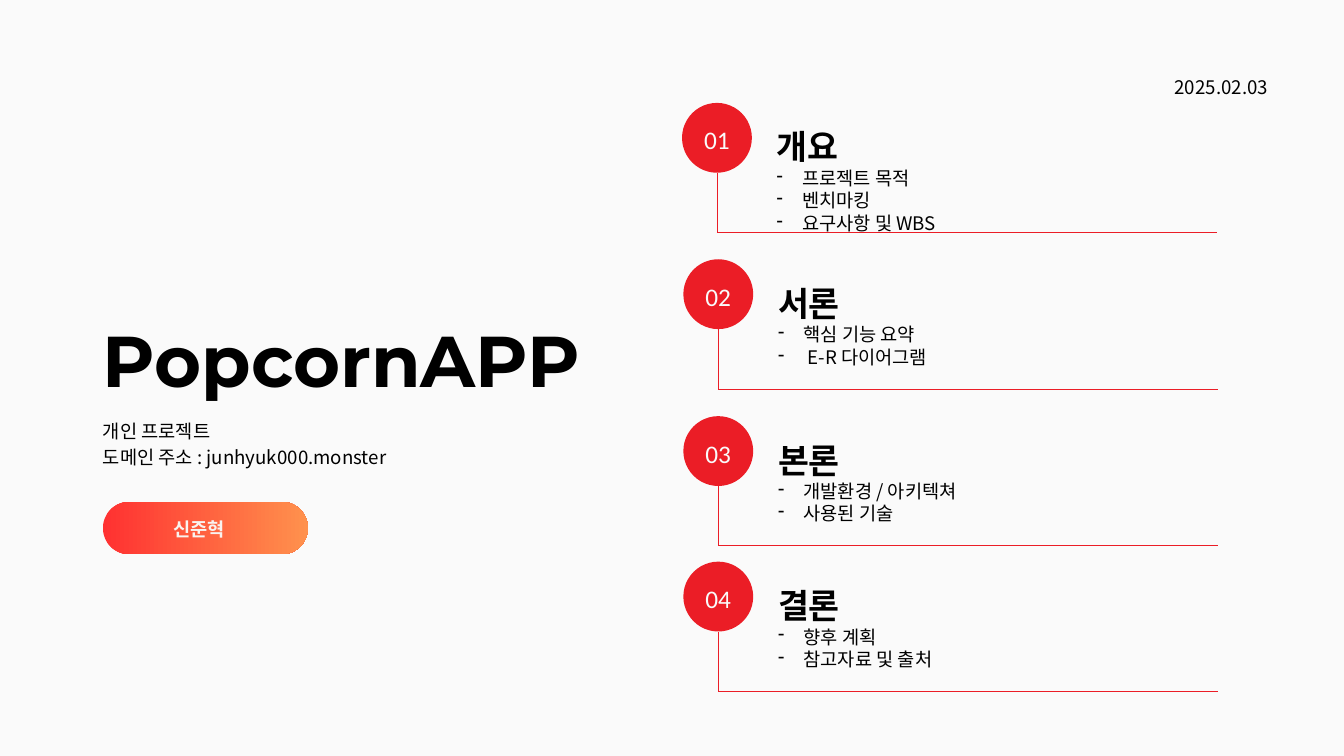
from lxml import etree
from pptx import Presentation
from pptx.dml.color import RGBColor
from pptx.enum.shapes import MSO_CONNECTOR, MSO_SHAPE
from pptx.enum.text import MSO_AUTO_SIZE, PP_ALIGN
from pptx.oxml.ns import qn
from pptx.util import Cm, Pt

LEFT, CENTER, RIGHT = PP_ALIGN.LEFT, PP_ALIGN.CENTER, PP_ALIGN.RIGHT
GROW = MSO_AUTO_SIZE.SHAPE_TO_FIT_TEXT
STRAIGHT = MSO_CONNECTOR.STRAIGHT
OVAL, PILL = MSO_SHAPE.OVAL, MSO_SHAPE.ROUNDED_RECTANGLE

RED, BLACK, PAPER = "EB1D26", "000000", "FAFAFA"
KR, SC = "Noto Sans CJK KR", "Noto Sans CJK SC"

HEADING = dict(name=KR, size=36, bold=True, color=BLACK, spacing=65.4)
ITEM = dict(name=KR, size=20, bold=False, color=BLACK, bullet="-")
NUMBER = dict(name="Calibri", size=27.1, color=PAPER, spacing=38, align=CENTER)
TITLE = dict(name="Montserrat", size=77, bold=True, color=BLACK, spacing=107.7)
BODY = dict(name=SC, size=20, color=BLACK, spacing=28)
DATE = dict(BODY, align=RIGHT)
AUTHOR = dict(BODY, bold=True, color="F9F3EF", align=CENTER)

SECTIONS = [
    (25.78, 3.89, 7.65, 4.88, "개요", ["프로젝트 목적", "벤치마킹", "요구사항 및 WBS"]),
    (25.83, 9.8, 7.65, 4.88, "서론", ["핵심 기능 요약", " E-R 다이어그램"]),
    (25.83, 15.73, 9.12, 4.01, "본론", ["개발환경 / 아키텍쳐", "사용된 기술"]),
    (25.83, 21.23, 7.65, 4.88, "결론", ["향후 계획", "참고자료 및 출처"]),
]


def rgb(value):
    """Return the colour for a hex string."""
    return RGBColor.from_string(value)


def add_paragraph(p, text, style):
    """Fill a paragraph with one run in the given style."""
    p.alignment = style.get("align", LEFT)
    if "spacing" in style:
        p.line_spacing = Pt(style["spacing"])
    if "bullet" in style:
        pPr = p._p.get_or_add_pPr()
        pPr.set("marL", str(Cm(0.96)))
        pPr.set("indent", str(-Cm(0.96)))
        etree.SubElement(pPr, qn("a:buChar"), char=style["bullet"])
    r = p.add_run()
    r.text = text
    values = dict(name=style["name"], size=Pt(style["size"]), bold=style.get("bold", False))
    for key, value in values.items():
        setattr(r.font, key, value)
    r.font.color.rgb = rgb(style["color"])
    etree.SubElement(r._r.get_or_add_rPr(), qn("a:ea"), typeface=style["name"])


def add_text(s, x, y, w, h, lines):
    """Add a text box from (text, style) pairs."""
    sp = s.shapes.add_textbox(Cm(x), Cm(y), Cm(w), Cm(h))
    tf = sp.text_frame
    settings = dict(margin_left=0, margin_top=0, margin_right=0, margin_bottom=0,
                    word_wrap=True, auto_size=GROW)
    for key, value in settings.items():
        setattr(tf, key, value)
    for i, (text, style) in enumerate(lines):
        add_paragraph(tf.add_paragraph() if i else tf.paragraphs[0], text, style)


def add_line(s, x1, y1, x2, y2):
    """Add a thin red line."""
    cxn = s.shapes.add_connector(STRAIGHT, Cm(x1), Cm(y1), Cm(x2), Cm(y2))
    cxn.line.color.rgb = rgb(RED)
    cxn.line.width = Pt(0.75)
    etree.SubElement(cxn._element.spPr, qn("a:effectLst"))


def add_plain_shape(s, kind, x, y, w, h):
    """Add a preset shape without outline or shadow."""
    sp = s.shapes.add_shape(kind, Cm(x), Cm(y), Cm(w), Cm(h))
    sp.shadow.inherit = False
    sp.line.fill.background()
    return sp


def add_section(s, number, x, y, w, h, heading, items):
    """Add a numbered agenda entry whose circle starts at x, y."""
    size, base = 2.64, y + 4.9
    middle = x + size / 2
    circle = add_plain_shape(s, OVAL, x, y, size, size)
    circle.fill.solid()
    circle.fill.fore_color.rgb = rgb(RED)
    add_line(s, middle, base, middle + 18.9, base)
    add_line(s, middle, base, middle, y + size)
    lines = [(heading, HEADING)] + [(item, ITEM) for item in items]
    add_text(s, x + 3.58, y + 0.1, w, h, lines)
    add_text(s, x, y + 0.63, size, 1.35, [(f"{number:02}", NUMBER)])


def add_intro(s, x, y):
    """Add the title, the project details and the author pill."""
    add_text(s, x, y, 21.31, 3.61, [("PopcornAPP", TITLE)])
    details = ["개인 프로젝트", "도메인 주소 : junhyuk000.monster"]
    add_text(s, x, y + 4.34, 25.7, 1.93, [(line, BODY) for line in details])
    pill = add_plain_shape(s, PILL, x, y + 7.59, 7.75, 1.98)
    pill.adjustments[0] = 0.5
    pill.fill.gradient()
    pill.fill.gradient_angle = 0
    for stop, color in zip(pill.fill.gradient_stops, ["FF3131", "FF914D"]):
        stop.color.rgb = rgb(color)
    add_text(s, x + 2.26, y + 8.05, 2.74, 0.94, [("신준혁", AUTHOR)])


def main():
    """Build the slide and save it."""
    prs = Presentation()
    prs.slide_width, prs.slide_height = Cm(50.8), Cm(28.575)
    s = prs.slides.add_slide(prs.slide_layouts[6])
    s.background.fill.solid()
    s.background.fill.fore_color.rgb = rgb(PAPER)
    for number, section in enumerate(SECTIONS, 1):
        add_section(s, number, *section)
    add_intro(s, 3.89, 11.38)
    add_text(s, 44.02, 2.74, 3.91, 0.94, [("2025.02.03", DATE)])
    prs.save("out.pptx")


if __name__ == "__main__":
    main()
